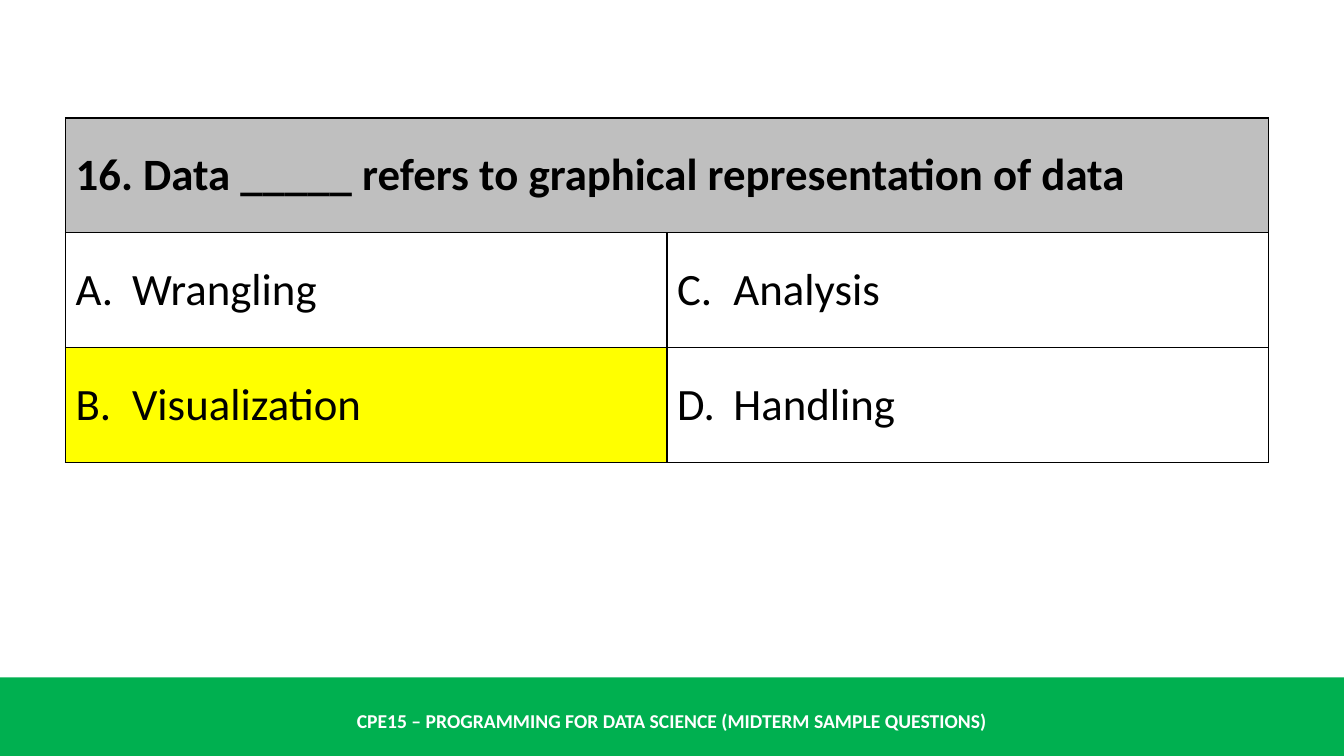
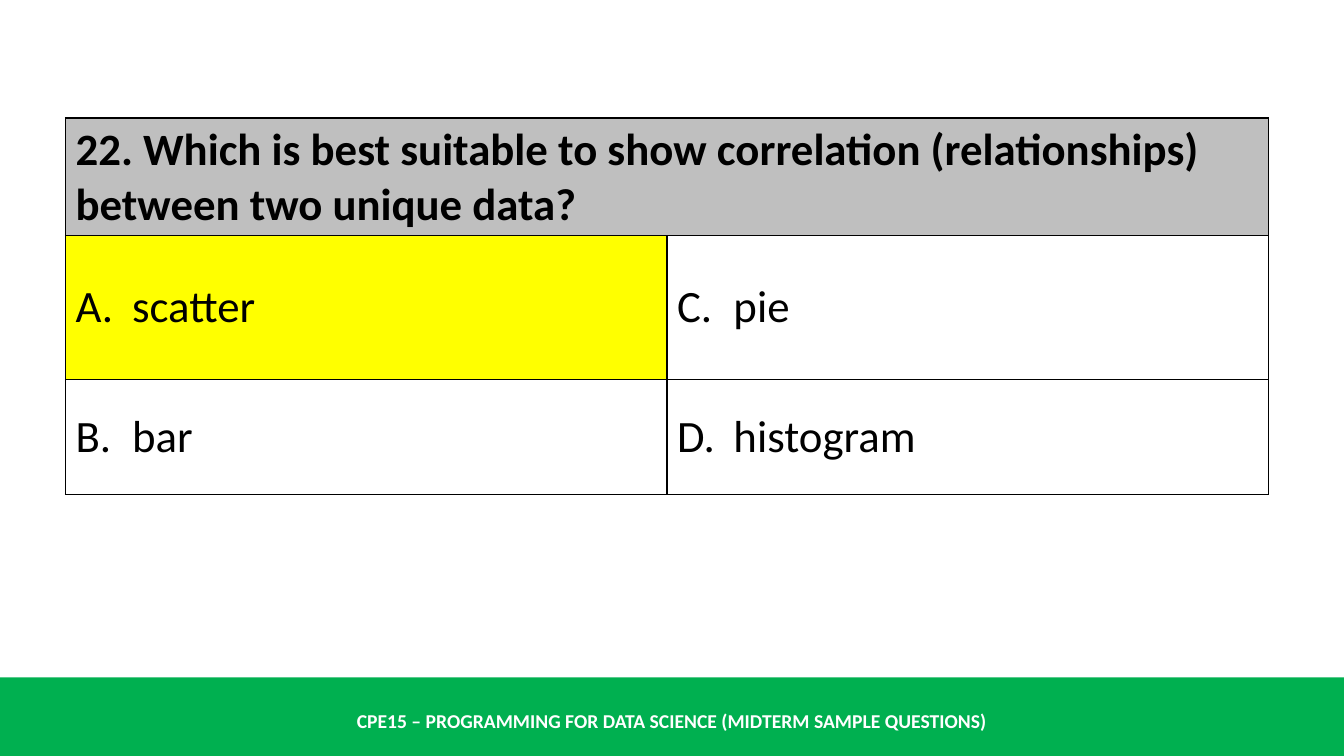
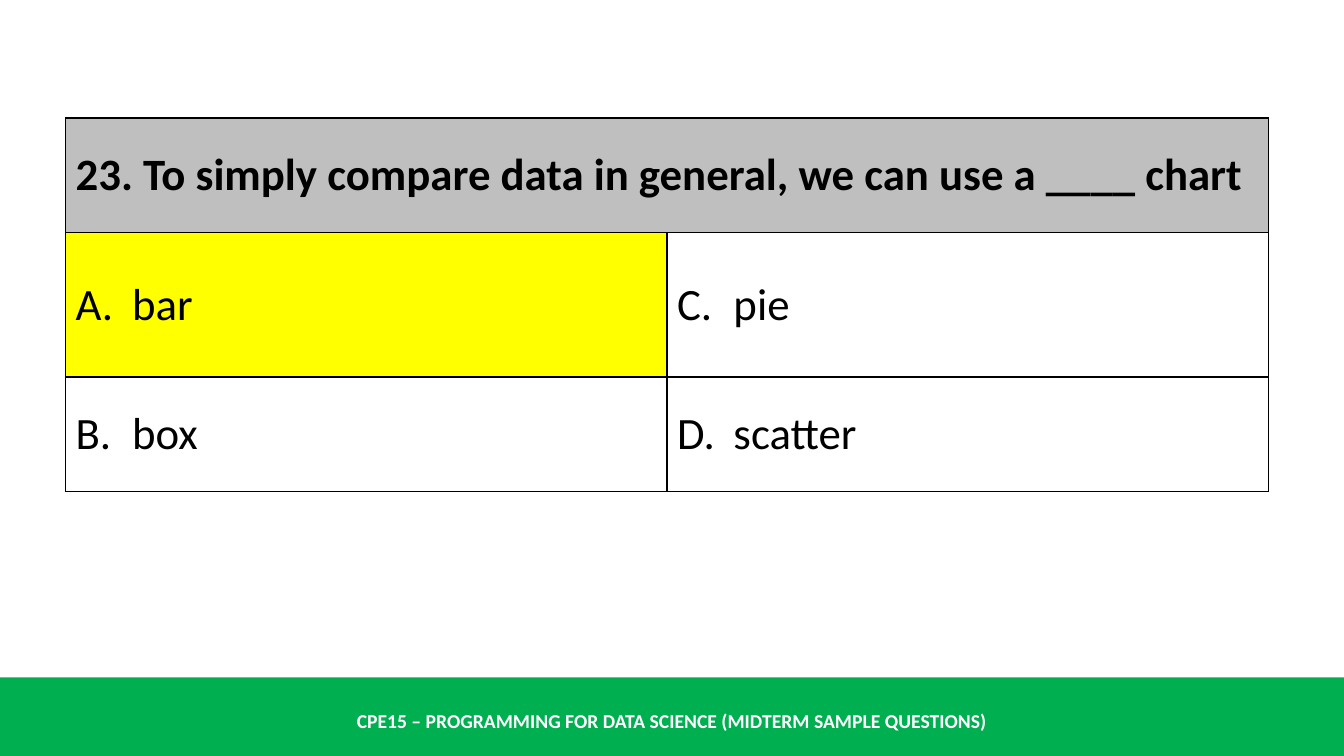
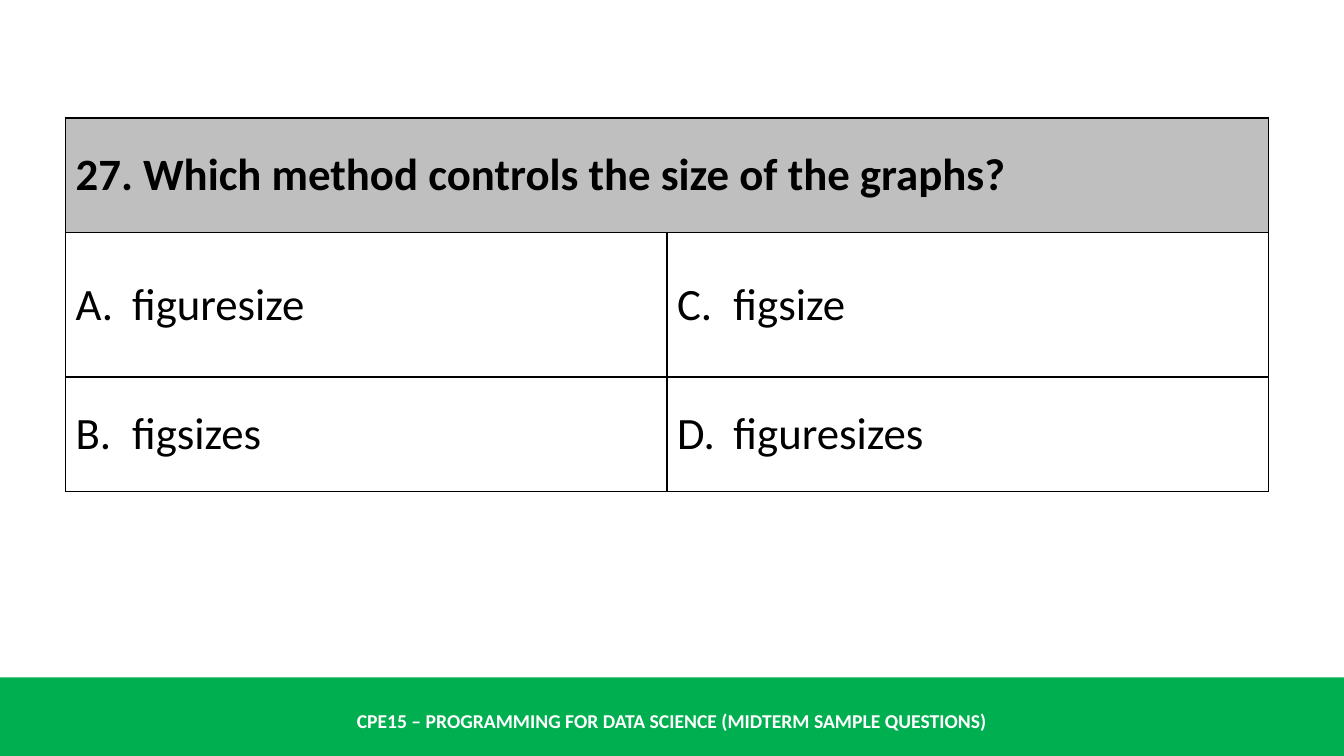
import pptx
import pptx.util
import pptx.dml.color
import pptx.enum.shapes
import pptx.enum.text
import pptx.oxml
import pptx.oxml.ns
import lxml.etree

Inches = pptx.util.Inches
FONT = "Calibri"
HUES = {
    "band": "00B050",
    "light": "FFFFFF",
    "ink": "000000",
    "head": "BFBFBF",
    "mark": "FFFF00",
}
FOOTER = "CPE15 – PROGRAMMING FOR DATA SCIENCE (MIDTERM SAMPLE QUESTIONS)"
QUIZ = [
    ("16. Data _____ refers to graphical representation of data",
     ["Wrangling", "Visualization", "Analysis", "Handling"], 1, 1.14),
    ("22. Which is best suitable to show correlation (relationships) between two unique data?",
     ["scatter", "bar", "pie", "histogram"], 0, 1.43),
    ("23. To simply compare data in general, we can use a ____ chart",
     ["bar", "box", "pie", "scatter"], 0, 1.43),
    ("27. Which method controls the size of the graphs?",
     ["figuresize", "figsizes", "figsize", "figuresizes"], None, 1.43),
]


def tint(name):
    return pptx.dml.color.RGBColor.from_string(HUES[name])


def style(para, size, hue, bold):
    font = para.font
    font.name = FONT
    font.size = pptx.util.Pt(size)
    font.bold = bold
    font.color.rgb = tint(hue)


def number(para, start):
    props = para._p.get_or_add_pPr()
    indent = Inches(0.56)
    props.set("marL", str(indent))
    props.set("indent", str(-indent))
    bullet = lxml.etree.SubElement(props, pptx.oxml.ns.qn("a:buAutoNum"))
    bullet.set("type", "alphaUcPeriod")
    if start > 1:
        bullet.set("startAt", str(start))


def frame(cell):
    props = cell._tc.get_or_add_tcPr()
    for side in "LRTB":
        props.append(pptx.oxml.parse_xml(
            f'<a:ln{side} {pptx.oxml.ns.nsdecls("a")} w="{pptx.util.Pt(1)}">'
            f'<a:solidFill><a:srgbClr val="{HUES["ink"]}"/></a:solidFill></a:ln{side}>'))


def paint(cell, hue):
    if hue:
        cell.fill.solid()
        cell.fill.fore_color.rgb = tint(hue)
    else:
        cell.fill.background()


def write(cell, text, bold=False, start=None):
    cell.vertical_anchor = pptx.enum.text.MSO_ANCHOR.MIDDLE
    para = cell.text_frame.paragraphs[0]
    para.text = text
    if start:
        number(para, start)
    style(para, 32, "ink", bold)


def add_band(slide, left, top, width, height):
    band = slide.shapes.add_shape(
        pptx.enum.shapes.MSO_SHAPE.RECTANGLE,
        Inches(left), Inches(top), Inches(width), Inches(height))
    band.shadow.inherit = False
    band.fill.solid()
    band.fill.fore_color.rgb = tint("band")
    band.line.fill.background()
    label = slide.shapes.add_textbox(
        Inches(left), Inches(top + 0.23), Inches(width), Inches(0.4))
    body = label.text_frame
    body.word_wrap = True
    body.vertical_anchor = pptx.enum.text.MSO_ANCHOR.MIDDLE
    para = body.paragraphs[0]
    para.text = FOOTER
    para.alignment = pptx.enum.text.PP_ALIGN.CENTER
    style(para, 14, "light", True)


def add_quiz(slide, left, top, width, title, picks, right, middle):
    rows = [1.14, middle, 1.14]
    table = slide.shapes.add_table(
        3, 2, Inches(left), Inches(top), Inches(width), Inches(sum(rows))).table
    table.first_row = False
    table.horz_banding = False
    for row, height in zip(table.rows, rows):
        row.height = Inches(height)
    for cell in table.iter_cells():
        frame(cell)
    head = table.cell(0, 0)
    head.merge(table.cell(0, 1))
    write(head, title, bold=True)
    paint(head, "head")
    for spot, pick in enumerate(picks):
        col, row = divmod(spot, 2)
        cell = table.cell(row + 1, col)
        write(cell, pick, start=spot + 1)
        paint(cell, "mark" if spot == right else None)


def main():
    deck = pptx.Presentation()
    deck.slide_width = Inches(13.33)
    deck.slide_height = Inches(7.5)
    for item in QUIZ:
        slide = deck.slides.add_slide(deck.slide_layouts[6])
        add_band(slide, 0, 6.72, 13.33, 0.78)
        add_quiz(slide, 0.65, 1.17, 11.93, *item)
    deck.save("out.pptx")


if __name__ == "__main__":
    main()
